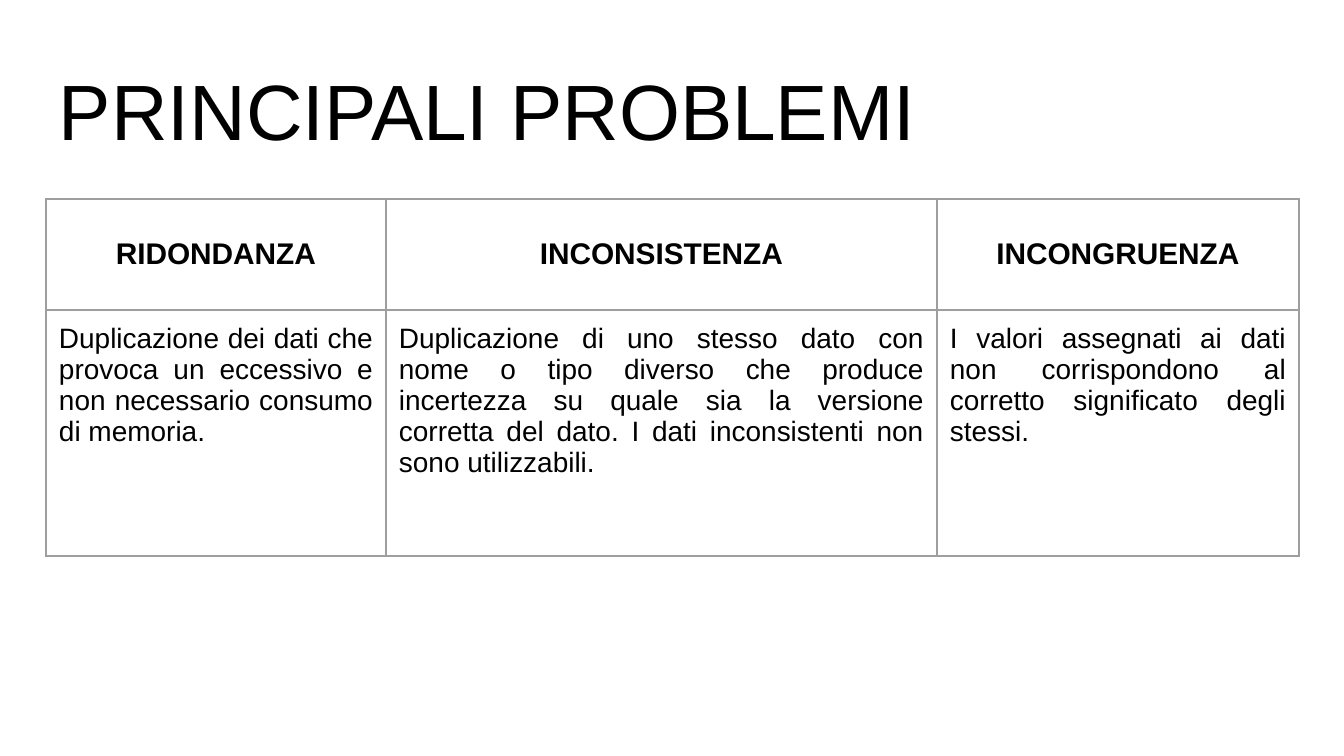
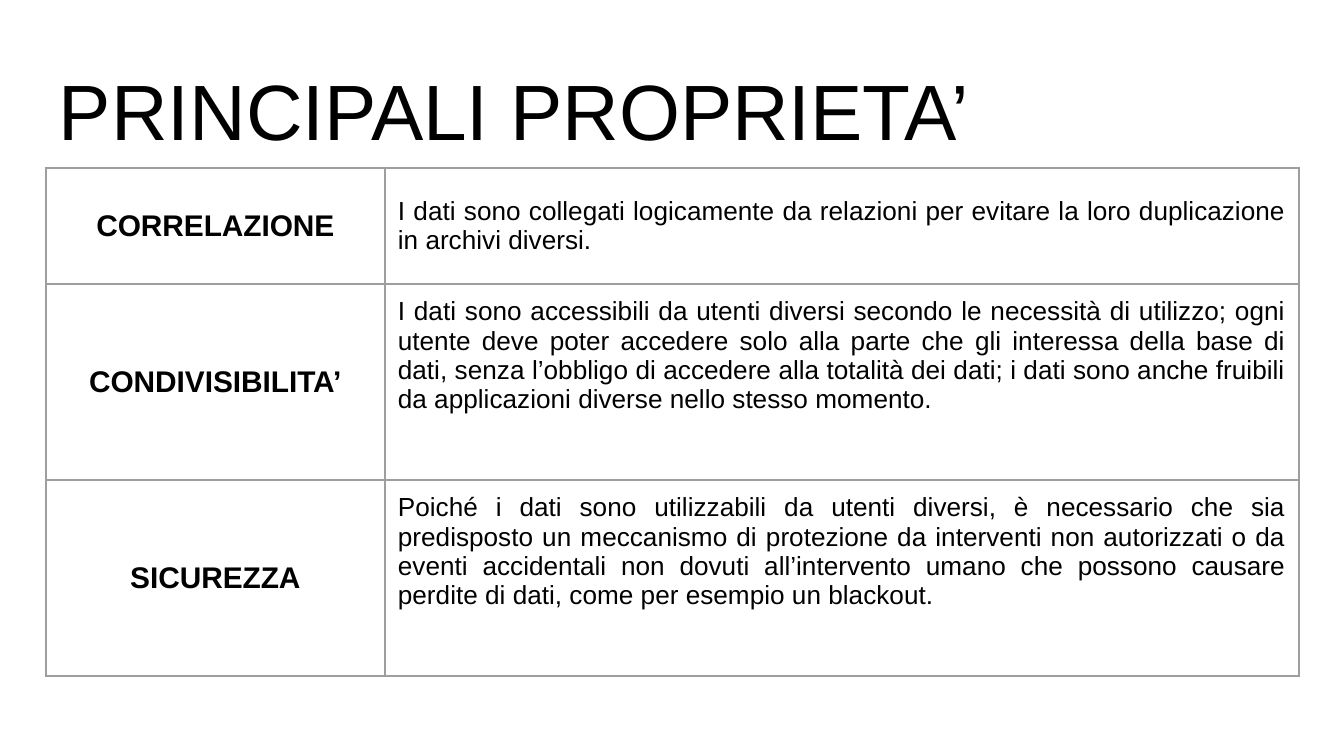
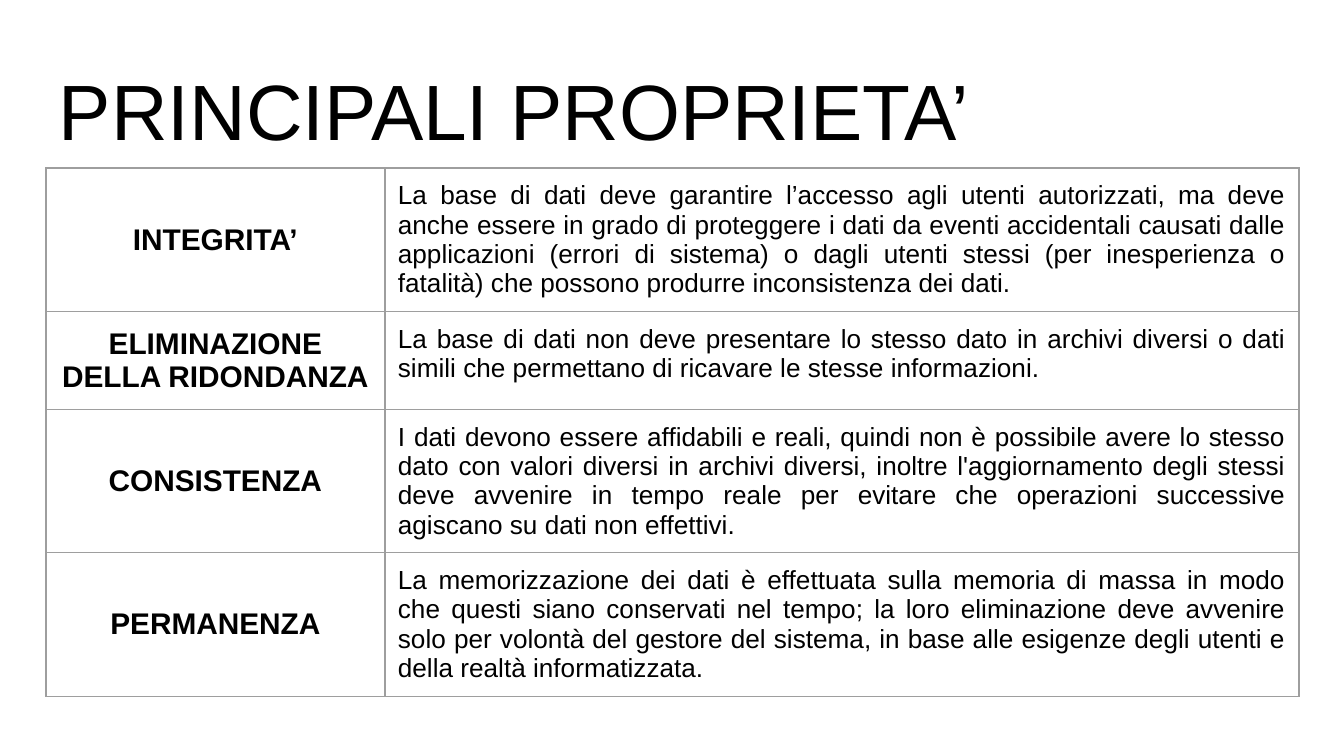
from lxml import etree
from pptx import Presentation
from pptx import util as u
from pptx.dml.color import RGBColor
from pptx.enum import text
from pptx.oxml import ns

PX = 914400 / 134.4
BLACK = RGBColor(0x00, 0x00, 0x00)
GREY = RGBColor(0x9E, 0x9E, 0x9E)

LEFT = 46
CONTENT_WIDTH = 1253
INSET = 13
PROPERTY_TOP = 168
PROPERTY_COLUMNS = (339, 914)

ALIGN = text.PP_ALIGN
ANCHOR = text.MSO_ANCHOR


def px(length):
    return u.Emu(round(length * PX))


class Deck:
    font_name = "Arial"
    title_size = 42
    term_size = 16

    def __init__(self):
        self.presentation = Presentation()
        self.presentation.slide_width = px(1344)
        self.presentation.slide_height = px(756)
        self.slide = None

    def add_slide(self, title):
        layout = self.presentation.slide_layouts[5]
        self.slide = self.presentation.slides.add_slide(layout)
        heading = self.slide.shapes.title
        heading.left, heading.top = px(LEFT), px(47)
        heading.width, heading.height = px(CONTENT_WIDTH), px(122)
        frame = heading.text_frame
        frame.text = title
        frame.word_wrap = True
        frame.auto_size = text.MSO_AUTO_SIZE.NONE
        frame.vertical_anchor = ANCHOR.BOTTOM
        self.set_margins(frame)
        self.format_text(frame, self.title_size, False, ALIGN.LEFT)

    def set_margins(self, box):
        box.margin_left = box.margin_right = px(INSET)
        box.margin_top = box.margin_bottom = px(INSET)

    def format_text(self, frame, size, bold, align):
        for paragraph in frame.paragraphs:
            paragraph.alignment = align
            for run in paragraph.runs:
                run.font.name = self.font_name
                run.font.size = u.Pt(size)
                run.font.bold = bold
                run.font.color.rgb = BLACK

    def add_grid(self, top, columns, rows):
        frame = self.slide.shapes.add_table(
            len(rows), len(columns), px(LEFT), px(top),
            px(sum(columns)), px(sum(rows)))
        grid = frame.table
        grid.first_row = grid.horz_banding = False
        for column, width in zip(grid.columns, columns):
            column.width = px(width)
        for row, height in zip(grid.rows, rows):
            row.height = px(height)
        return grid

    def outline(self, cell):
        properties = cell._tc.get_or_add_tcPr()
        for side in ("lnL", "lnR", "lnT", "lnB"):
            line = etree.SubElement(properties, ns.qn(f"a:{side}"), w=str(u.Pt(0.75)))
            fill = etree.SubElement(line, ns.qn("a:solidFill"))
            etree.SubElement(fill, ns.qn("a:srgbClr"), val=str(GREY))

    def fill_cell(self, cell, content, size, bold, align, anchor):
        cell.text_frame.text = content
        self.set_margins(cell)
        cell.vertical_anchor = anchor
        self.outline(cell)
        cell.fill.background()
        self.format_text(cell.text_frame, size, bold, align)

    def term(self, cell, content):
        self.fill_cell(cell, content, self.term_size, True, ALIGN.CENTER, ANCHOR.MIDDLE)

    def definition(self, cell, content, size, anchor=ANCHOR.TOP):
        self.fill_cell(cell, content, size, False, ALIGN.JUSTIFY, anchor)

    def add_problems(self, problems):
        """Terms across the first row, each with its definition below."""
        grid = self.add_grid(199, (340, 551, 362), (111, 246))
        for column, (name, meaning) in enumerate(problems):
            self.term(grid.cell(0, column), name)
            self.definition(grid.cell(1, column), meaning, 15)

    def add_properties(self, properties, row_heights, first_anchor=ANCHOR.TOP):
        """Terms down the first column, each with its definition beside it."""
        grid = self.add_grid(PROPERTY_TOP, PROPERTY_COLUMNS, row_heights)
        for row, (name, meaning) in enumerate(properties):
            self.term(grid.cell(row, 0), name)
            anchor = first_anchor if row == 0 else ANCHOR.TOP
            self.definition(grid.cell(row, 1), meaning, 14, anchor)


PROBLEMS = [
    ("RIDONDANZA",
     "Duplicazione dei dati che provoca un eccessivo e non necessario consumo di memoria."),
    ("INCONSISTENZA",
     "Duplicazione di uno stesso dato con nome o tipo diverso che produce incertezza su "
     "quale sia la versione corretta del dato. I dati inconsistenti non sono utilizzabili."),
    ("INCONGRUENZA",
     "I valori assegnati ai dati non corrispondono al corretto significato degli stessi."),
]

ACCESS_PROPERTIES = [
    ("CORRELAZIONE",
     "I dati sono collegati logicamente da relazioni per evitare la loro duplicazione in "
     "archivi diversi."),
    ("CONDIVISIBILITA’",
     "I dati sono accessibili da utenti diversi secondo le necessità di utilizzo; ogni "
     "utente deve poter accedere solo alla parte che gli interessa della base di dati, "
     "senza l’obbligo di accedere alla totalità dei dati; i dati sono anche fruibili da "
     "applicazioni diverse nello stesso momento."),
    ("SICUREZZA",
     "Poiché i dati sono utilizzabili da utenti diversi, è necessario che sia predisposto "
     "un meccanismo di protezione da interventi non autorizzati o da eventi accidentali "
     "non dovuti all’intervento umano che possono causare perdite di dati, come per "
     "esempio un blackout."),
]

RELIABILITY_PROPERTIES = [
    ("INTEGRITA’",
     "La base di dati deve garantire l’accesso agli utenti autorizzati, ma deve anche "
     "essere in grado di proteggere i dati da eventi accidentali causati dalle "
     "applicazioni (errori di sistema) o dagli utenti stessi (per inesperienza o "
     "fatalità) che possono produrre inconsistenza dei dati."),
    ("ELIMINAZIONE DELLA RIDONDANZA",
     "La base di dati non deve presentare lo stesso dato in archivi diversi o dati simili "
     "che permettano di ricavare le stesse informazioni."),
    ("CONSISTENZA",
     "I dati devono essere affidabili e reali, quindi non è possibile avere lo stesso "
     "dato con valori diversi in archivi diversi, inoltre l'aggiornamento degli stessi "
     "deve avvenire in tempo reale per evitare che operazioni successive agiscano su dati "
     "non effettivi."),
    ("PERMANENZA",
     "La memorizzazione dei dati è effettuata sulla memoria di massa in modo che questi "
     "siano conservati nel tempo; la loro eliminazione deve avvenire solo per volontà del "
     "gestore del sistema, in base alle esigenze degli utenti e della realtà "
     "informatizzata."),
]


def main():
    deck = Deck()
    deck.add_slide("PRINCIPALI PROBLEMI")
    deck.add_problems(PROBLEMS)
    deck.add_slide("PRINCIPALI PROPRIETA’")
    deck.add_properties(ACCESS_PROPERTIES, (116, 196, 196), ANCHOR.MIDDLE)
    deck.add_slide("PRINCIPALI PROPRIETA’")
    deck.add_properties(RELIABILITY_PROPERTIES, (122, 98, 122, 122))
    deck.presentation.save("out.pptx")


if __name__ == "__main__":
    main()
